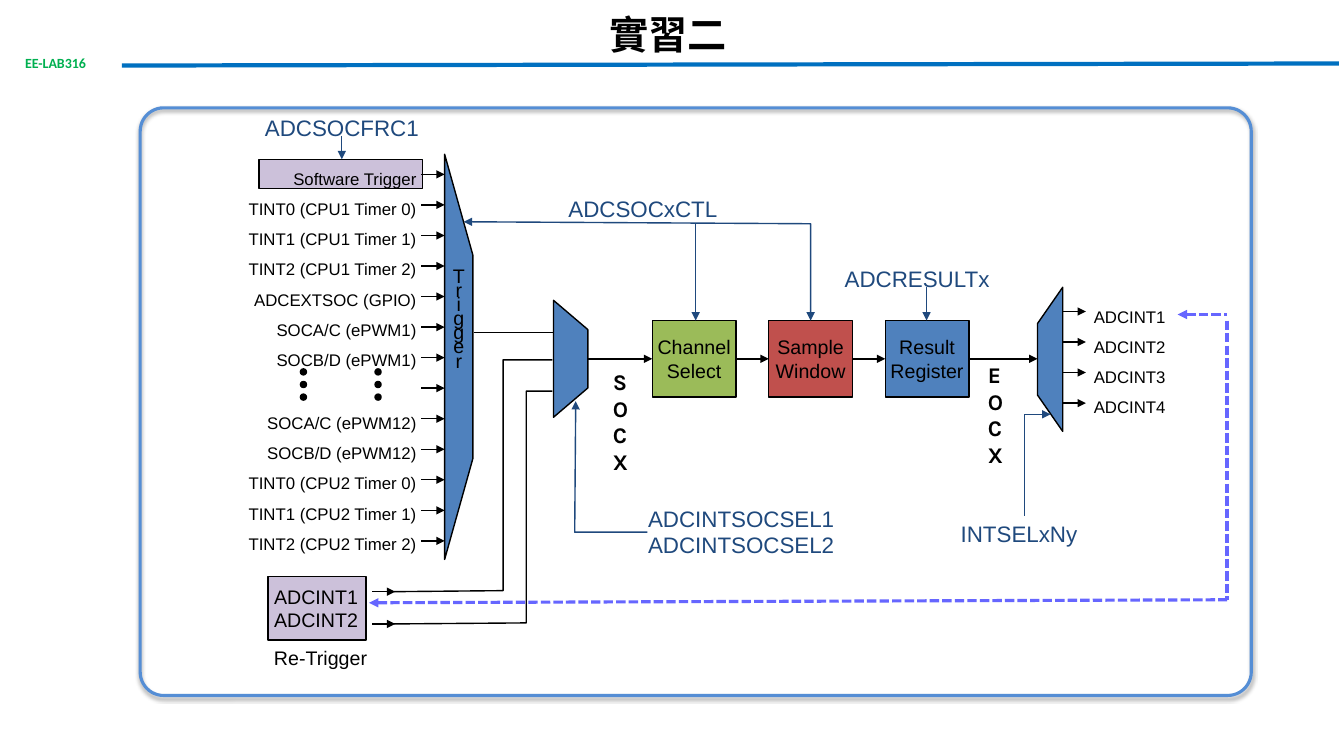
from pptx import Presentation
from pptx.util import Inches, Pt
from pptx.dml.color import RGBColor
from pptx.enum.shapes import MSO_SHAPE as Shp, MSO_CONNECTOR as Conn
from pptx.enum.text import PP_ALIGN as Align, MSO_ANCHOR as Anchor
from pptx.oxml.ns import qn
from lxml.etree import SubElement as Sub

BLACK, NAVY, BLUE = "000000", "1F497D", "4F81BD"
LILAC, DASH = "CCC1DA", "6666FF"
ROW = 0.303


def color(code):
    return RGBColor.from_string(code)


def write(frame, lines, size, tone=BLACK, font="Arial", bold=False,
          align=Align.LEFT, space=None, gap=0):
    frame.word_wrap = True
    for i, line in enumerate(lines):
        para = frame.paragraphs[0] if i == 0 else frame.add_paragraph()
        para.alignment = align
        if space:
            para.line_spacing = space
        if i and gap:
            para.space_before = Pt(gap)
        run = para.add_run()
        run.text = line
        run.font.size, run.font.name, run.font.bold = Pt(size), font, bold
        run.font.color.rgb = color(tone)


def label(slide, box, lines, size, *args, **style):
    area = slide.shapes.add_textbox(*map(Inches, box))
    write(area.text_frame, lines, size, *args, **style)


def block(slide, kind, box, fill, line=BLACK, width=1):
    shape = slide.shapes.add_shape(kind, *map(Inches, box))
    shape.shadow.inherit = False
    if fill:
        shape.fill.solid()
        shape.fill.fore_color.rgb = color(fill)
    else:
        shape.fill.background()
    shape.line.color.rgb = color(line)
    shape.line.width = Pt(width)
    return shape


def outline(slide, points, close):
    first, *rest = [(Inches(x), Inches(y)) for x, y in points]
    form = slide.shapes.build_freeform(*first)
    form.add_line_segments(rest, close=close)
    shape = form.convert_to_shape()
    shape.shadow.inherit = False
    return shape


def route(slide, points, tone=BLACK, width=1, ends="", dash=False):
    """Draw a line through the points; ends names the arrowheads."""
    if len(points) == 2:
        (a, b), (c, d) = points
        wire = slide.shapes.add_connector(Conn.STRAIGHT, *map(Inches, (a, b, c, d)))
        wire.line.color.rgb = color(tone)
        Sub(wire._element.spPr, qn("a:effectLst"))
    else:
        wire = outline(slide, points, False)
        wire.fill.background()
        wire.line.color.rgb = color(tone)
    wire.line.width = Pt(width)
    edge = wire._element.spPr.find(qn("a:ln"))
    if dash:
        Sub(edge, qn("a:prstDash"), val="sysDash")
    for end in ("head", "tail"):
        if end in ends:
            Sub(edge, qn(f"a:{end}End"), type="triangle")


def arrows(slide, x, y, count, step):
    for i in range(count):
        route(slide, [(x, y + i * step), (x + 0.23, y + i * step)], ends="tail")


def mux(slide, box, slant, flip=False):
    x, y, w, h = box
    tall, short = (x + w, x) if flip else (x, x + w)
    shape = outline(slide, [(tall, y + h), (short, y + h - slant),
                            (short, y + slant), (tall, y)], True)
    shape.fill.solid()
    shape.fill.fore_color.rgb = color(BLUE)
    shape.line.color.rgb = color(BLACK)
    shape.line.width = Pt(1)


def header(slide, box):
    x, y, w, h = box
    route(slide, [(x + 1.21, y + 0.65), (x + w - 0.05, y + 0.63)], "0070C0", 3)
    label(slide, (x + 0.15, y + 0.49, 1, 0.27), ["EE-LAB316"], 10, "00B050",
          "Calibri", True)
    title = slide.shapes.title
    title.left, title.top, title.width, title.height = map(
        Inches, (x + 2.73, y + 0.05, 7.8, h - 0.05))
    title.text_frame.vertical_anchor = Anchor.TOP
    write(title.text_frame, ["實習二"], 28, BLACK, "Times New Roman", True, Align.CENTER)


def panel(slide, box):
    frame = block(slide, Shp.ROUNDED_RECTANGLE, box, None, "558ED5", 2.25)
    frame.adjustments[0] = 0.04
    effects = frame._element.spPr.find(qn("a:effectLst"))
    shade = Sub(effects, qn("a:outerShdw"), blurRad=str(Pt(3.1)),
                dist=str(Pt(1.6)), dir="5400000", rotWithShape="0")
    Sub(Sub(shade, qn("a:srgbClr"), val=BLACK), qn("a:alpha"), val="38000")


def triggers(slide, box):
    x, y, w, h = box
    block(slide, Shp.RECTANGLE, (x + 0.42, y + 0.5, 1.62, 0.29), LILAC)
    mux(slide, (x + 2.26, y + 0.45, 0.28, 4.02), 1.0)
    # Source list, split by the dots
    first = ["Software Trigger", "TINT0 (CPU1 Timer 0)", "TINT1 (CPU1 Timer 1)",
             "TINT2 (CPU1 Timer 2)", "ADCEXTSOC (GPIO)", "SOCA/C (ePWM1)",
             "SOCB/D (ePWM1)"]
    last = ["SOCA/C (ePWM12)", "SOCB/D (ePWM12)", "TINT0 (CPU2 Timer 0)",
            "TINT1 (CPU2 Timer 1)", "TINT2 (CPU2 Timer 2)"]
    for row, names in ((0, first), (8, last)):
        label(slide, (x, y + 0.44 + row * ROW, 2.08, len(names) * ROW + 0.1), names,
              12, align=Align.RIGHT, space=1.5)
    for left in (0.83, 1.57):
        for i in range(3):
            block(slide, Shp.OVAL, (x + left, y + 2.58 + i * 0.125, 0.06, 0.06), BLACK)
    arrows(slide, x + 2.03, y + 0.65, 13, ROW)
    label(slide, (x + 2.24, y + 1.57, 0.32, 1.8), "Trigger", 14,
          align=Align.CENTER, space=0.6)
    label(slide, (x + 0.38, y, 2, 0.32), ["ADCSOCFRC1"], 16, NAVY)
    route(slide, [(x + 1.24, y + 0.27), (x + 1.24, y + 0.5)], NAVY, ends="tail")


def repeat(slide, box):
    x, y, w, h = box
    block(slide, Shp.RECTANGLE, (x, y, w, h), LILAC)
    label(slide, (x - 0.16, y + 0.03, 1.15, 0.6), ["ADCINT1", "ADCINT2"], 14,
          align=Align.RIGHT)
    arrows(slide, x + 1.03, y + 0.15, 2, 0.32)
    label(slide, (x - 0.13, y + 0.72, 1.3, 0.24), ["Re-Trigger"], 14,
          align=Align.CENTER, space=0.6)
    # Lines up to the second selector
    for down, turn, rise in ((0.15, 2.33, 2.15), (0.47, 2.56, 1.84)):
        route(slide, [(x + 1.25, y + down), (x + turn, y + down - 0.01),
                      (x + turn, y - rise), (x + 2.82, y - rise)])


def chain(slide, box):
    x, y, w, h = box
    mid = y + h / 2
    steps = [("9BBB59", ["Channel", "Select"]), ("C0504D", ["Sample", "Window"]),
             (BLUE, ["Result", "Register"])]
    for i, (fill, words) in enumerate(steps):
        left = x + i * 1.155
        frame = block(slide, Shp.RECTANGLE, (left, y, 0.83, h), fill).text_frame
        frame.margin_left = frame.margin_right = 0
        frame.margin_top = frame.margin_bottom = 0
        frame.vertical_anchor = Anchor.MIDDLE
        write(frame, words, 14, align=Align.CENTER)
        if i:
            route(slide, [(left - 0.325, mid), (left, mid)], ends="tail")
    # Selector, entry and exit
    mux(slide, (x - 0.98, y - 0.2, 0.34, 1.16), 0.29)
    route(slide, [(x - 1.77, y + 0.12), (x - 0.98, y + 0.12)])
    route(slide, [(x - 0.64, mid), (x, mid)], ends="tail")
    route(slide, [(x + 3.14, mid), (x + 3.82, mid)], ends="tail")
    for left, top, word in ((-0.49, 0.42, "SOCX"), (3.23, 0.35, "EOCX")):
        label(slide, (x + left, y + top, 0.4, 1.18), word, 16, BLACK, "Karla", True)
    # Control registers
    label(slide, (x - 0.93, y - 1.29, 2, 0.32), ["ADCSOCxCTL"], 16, NAVY)
    route(slide, [(x - 1.87, y - 0.98), (x + 1.57, y - 0.96), (x + 1.57, y)],
          NAVY, ends="head tail")
    route(slide, [(x + 0.43, y - 0.96), (x + 0.43, y)], NAVY, ends="tail")
    label(slide, (x + 1.81, y - 0.6, 2, 0.32), ["ADCRESULTx"], 16, NAVY)
    route(slide, [(x + 2.72, y - 0.33), (x + 2.72, y)], NAVY, ends="tail")
    label(slide, (x - 0.14, y + 1.88, 2.3, 0.54), ["ADCINTSOCSEL1", "ADCINTSOCSEL2"],
          16, NAVY, space=0.6, gap=7)
    route(slide, [(x - 0.76, y + 0.8), (x - 0.77, y + 2.1), (x - 0.05, y + 2.1)],
          NAVY, ends="head")


def output(slide, box):
    x, y, w, h = box
    mux(slide, (x, y, w, h), 0.36, True)
    label(slide, (x + 0.46, y + 0.04, 1.1, 1.28),
          [f"ADCINT{i}" for i in range(1, 5)], 12, space=1.5)
    arrows(slide, x + w, y + 0.24, 4, ROW)
    label(slide, (x - 0.86, y + 2.26, 1.6, 0.32), ["INTSELxNy"], 16, NAVY)
    route(slide, [(x + 0.13, y + 1.26), (x - 0.13, y + 1.26), (x - 0.13, y + 2.27)],
          NAVY, ends="head")


def feedback(slide, box):
    x, y, w, h = box
    right, low = x + w, y + h
    for points, ends in (([(x, low), (right, low - 0.03)], "head"),
                         ([(right, y + 0.06), (right, low - 0.03)], ""),
                         ([(right - 0.49, y), (right, y)], "head")):
        route(slide, points, DASH, 2.25, ends, True)


def main():
    deck = Presentation()
    deck.slide_width, deck.slide_height = Inches(13.33), Inches(7.5)
    slide = deck.slides.add_slide(deck.slide_layouts[5])
    header(slide, (0, 0, 13.33, 0.76))
    panel(slide, (1.39, 1.07, 11.02, 5.83))
    repeat(slide, (2.66, 5.72, 0.97, 0.63))
    output(slide, (10.29, 2.85, 0.25, 1.43))
    chain(slide, (6.47, 3.18, 3.14, 0.76))
    triggers(slide, (2.15, 1.08, 2.54, 4.48))
    feedback(slide, (3.66, 3.12, 8.51, 2.86))
    deck.save("out.pptx")


if __name__ == "__main__":
    main()
